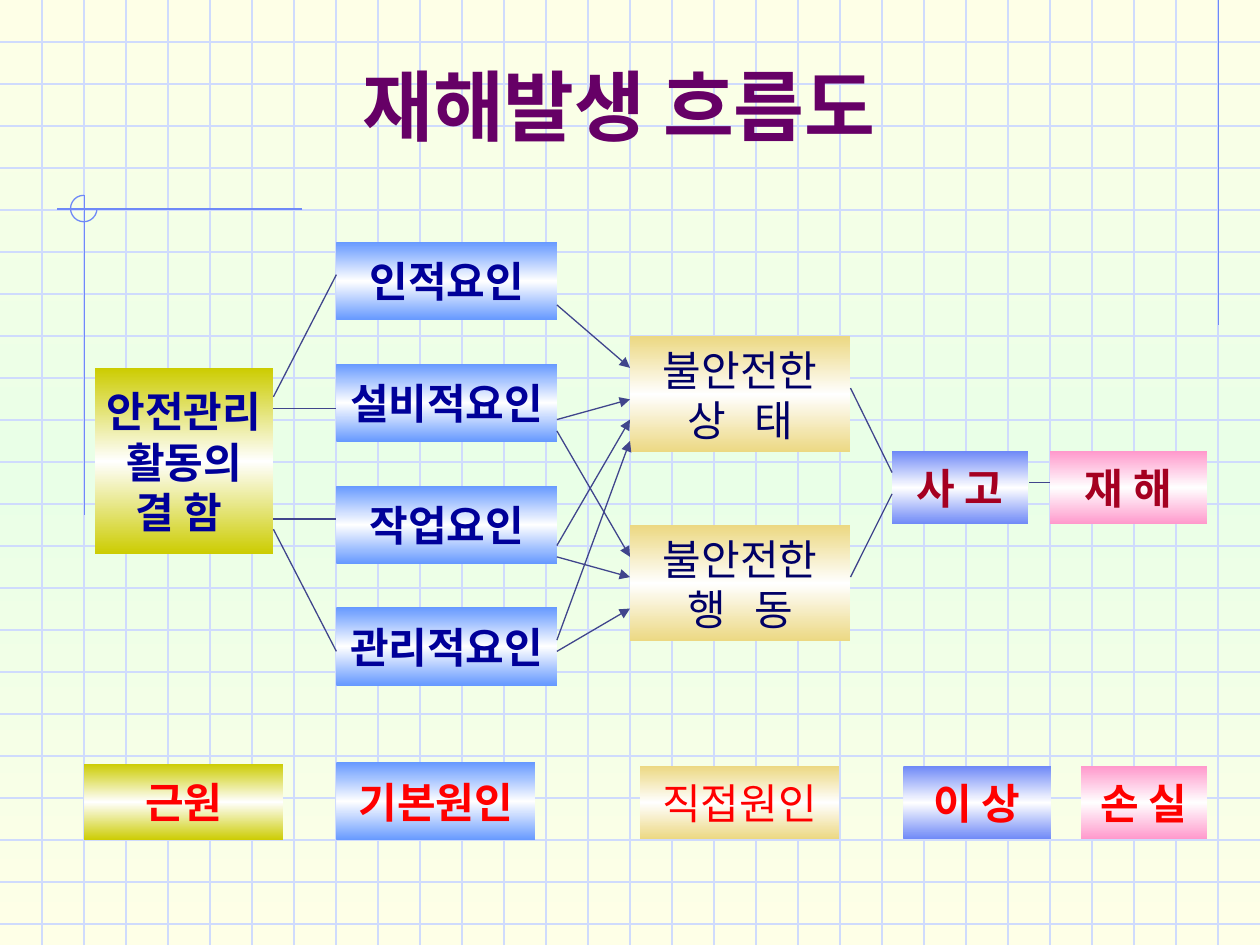
from copy import deepcopy
from dataclasses import dataclass

from lxml import etree
from pptx import Presentation
from pptx import util as u
from pptx.dml.color import RGBColor
from pptx.enum import shapes, text
from pptx.oxml.ns import qn

FONT = "Noto Sans CJK KR"
WIDTH, HEIGHT = 10, 7.5
GRID = 1 / 3
COLORS = {
    "page": "FEFFE7", "page_mid": "E9FFE7", "white": "FFFFFF",
    "grid": "CFDBFD", "accent": "6F89F7", "link": "40458C",
    "title": "660066", "navy": "000099", "dark": "000066",
    "red": "FF0000", "crimson": "A50021",
    "olive": "CCCC00", "blue": "6699FF", "sand": "ECD882",
    "violet": "6F89F7", "pink": "FF99CC",
}


@dataclass
class Box:
    left: float
    top: float
    width: float
    height: float
    fill: str
    color: str
    lines: tuple[str, ...]
    bold: bool = True
    gap: int = 0


@dataclass
class Link:
    x1: float
    y1: float
    x2: float
    y2: float
    color: str = "link"
    arrow: bool = False


FACTORS = ("인적요인", "설비적요인", "작업요인", "관리적요인")
BOXES = [
    Box(0.75, 2.92, 1.42, 1.48, "olive", "navy", ("안전관리", "활동의", "결 함 ")),
    Box(0.67, 6.06, 1.58, 0.61, "olive", "red", ("근원",)),
    *(Box(2.67, 1.92 + i * 0.967, 1.75, 0.62, "blue", "navy", (name,))
      for i, name in enumerate(FACTORS)),
    Box(2.67, 6.05, 1.58, 0.62, "blue", "red", ("기본원인",)),
    Box(5, 2.67, 1.75, 0.92, "sand", "dark", ("불안전한", "상 태"), False, 11),
    Box(5, 4.17, 1.75, 0.92, "sand", "dark", ("불안전한", "행 동"), False, 11),
    Box(5.08, 6.08, 1.58, 0.58, "sand", "red", ("직접원인",), False),
    Box(7.08, 3.58, 1.08, 0.58, "violet", "crimson", ("사 고",)),
    Box(7.17, 6.08, 1.17, 0.58, "violet", "red", ("이 상",)),
    Box(8.33, 3.58, 1.25, 0.58, "pink", "crimson", ("재 해",)),
    Box(8.58, 6.08, 1, 0.58, "pink", "red", ("손 실",)),
]
ROOT_TO_FACTOR = [(3.15, 2.18), (3.24, 3.24), (4.12, 4.12), (4.2, 5.17)]
FACTOR_TO_CAUSE = [(2.42, 2.92), (3.33, 3.17), (3.42, 4.42), (4.33, 3.33),
                   (5.17, 4.83), (5.08, 3.5), (4.42, 4.58)]
CAUSE_TO_ACCIDENT = [(3.08, 3.75), (4.58, 3.92)]
FRAME = [
    *(Link(0, i * GRID, WIDTH, i * GRID, "grid") for i in range(1, 23)),
    *(Link(i * GRID, 0, i * GRID, HEIGHT, "grid") for i in range(1, 30)),
    Link(9.67, 0, 9.67, 2.58, "accent"),
    Link(2.4, 1.66, 0.45, 1.66, "accent"),
    Link(0.67, 1.55, 0.67, 4.09, "accent"),
]
FLOW = [
    *(Link(2.17, a, 2.67, b) for a, b in ROOT_TO_FACTOR),
    *(Link(4.42, a, 5, b, arrow=True) for a, b in FACTOR_TO_CAUSE),
    *(Link(6.75, a, 7.08, b) for a, b in CAUSE_TO_ACCIDENT),
    Link(8.17, 3.83, 8.33, 3.83),
]


def cm(inches: float) -> u.Length:
    return u.Cm(inches * 2.54)


def rgb(name: str) -> RGBColor:
    return RGBColor.from_string(COLORS[name])


def band_fill(fill, element, edge: str, middle: str) -> None:
    fill.gradient()
    fill.gradient_angle = 270
    for stop in fill.gradient_stops:
        stop.color.rgb = rgb(edge)
    stops = next(element.iter(qn("a:gsLst")))
    stops.insert(1, deepcopy(stops[0]))
    center = fill.gradient_stops[1]
    center.position = 0.5
    center.color.rgb = rgb(middle)


def add_run(p, content: str, size: float, color: str, bold: bool):
    r = p.add_run()
    r.text = content
    r.font.size = u.Pt(size)
    r.font.bold = bold
    r.font.name = FONT
    r.font.color.rgb = rgb(color)
    etree.SubElement(r.font._element, qn("a:ea"), typeface=FONT)
    return r


def add_link(s, link: Link) -> None:
    ends = map(cm, (link.x1, link.y1, link.x2, link.y2))
    sp = s.shapes.add_connector(shapes.MSO_CONNECTOR.STRAIGHT, *ends)
    sp.line.color.rgb = rgb(link.color)
    sp.line.width = u.Pt(0.75)
    if link.arrow:
        etree.SubElement(sp.line._get_or_add_ln(), qn("a:tailEnd"), type="triangle")
    etree.SubElement(sp.element.spPr, qn("a:effectLst"))


def add_box(s, box: Box) -> None:
    area = map(cm, (box.left, box.top, box.width, box.height))
    sp = s.shapes.add_shape(shapes.MSO_SHAPE.RECTANGLE, *area)
    sp.shadow.inherit = False
    band_fill(sp.fill, sp.element, box.fill, "white")
    sp.line.fill.background()
    tf = sp.text_frame
    tf.word_wrap = False
    tf.vertical_anchor = text.MSO_ANCHOR.MIDDLE
    for i, line in enumerate(box.lines):
        p = tf.add_paragraph() if i else tf.paragraphs[0]
        p.alignment = text.PP_ALIGN.CENTER
        if box.gap and " " in line:
            for part in line:
                r = add_run(p, part, 24, box.color, box.bold)
                if part == " ":
                    r.font._element.set("spc", str(box.gap * 100))
        else:
            add_run(p, line, 24, box.color, box.bold)


def add_arc(s) -> None:
    sp = s.shapes.add_shape(shapes.MSO_SHAPE.ARC, *map(cm, (0.56, 1.55, 0.21, 0.21)))
    sp.shadow.inherit = False
    sp.fill.background()
    sp.line.color.rgb = rgb("accent")
    sp.line.width = u.Pt(0.75)
    sp.adjustments[0] = 0
    sp.adjustments[1] = 162


def add_title(s) -> None:
    sp = s.shapes.add_textbox(*map(cm, (0.75, 0.5, 8.33, 0.75)))
    tf = sp.text_frame
    tf.word_wrap = True
    tf.vertical_anchor = text.MSO_ANCHOR.BOTTOM
    p = tf.paragraphs[0]
    p.alignment = text.PP_ALIGN.CENTER
    add_run(p, "재해발생 흐름도", 44, "title", True)


def main() -> None:
    prs = Presentation()
    prs.slide_width, prs.slide_height = cm(WIDTH), cm(HEIGHT)
    s = prs.slides.add_slide(prs.slide_layouts[6])
    band_fill(s.background.fill, s.element, "page", "page_mid")
    for link in FRAME:
        add_link(s, link)
    add_arc(s)
    add_title(s)
    for box in BOXES:
        add_box(s, box)
    for link in FLOW:
        add_link(s, link)
    prs.save("out.pptx")


if __name__ == "__main__":
    main()
